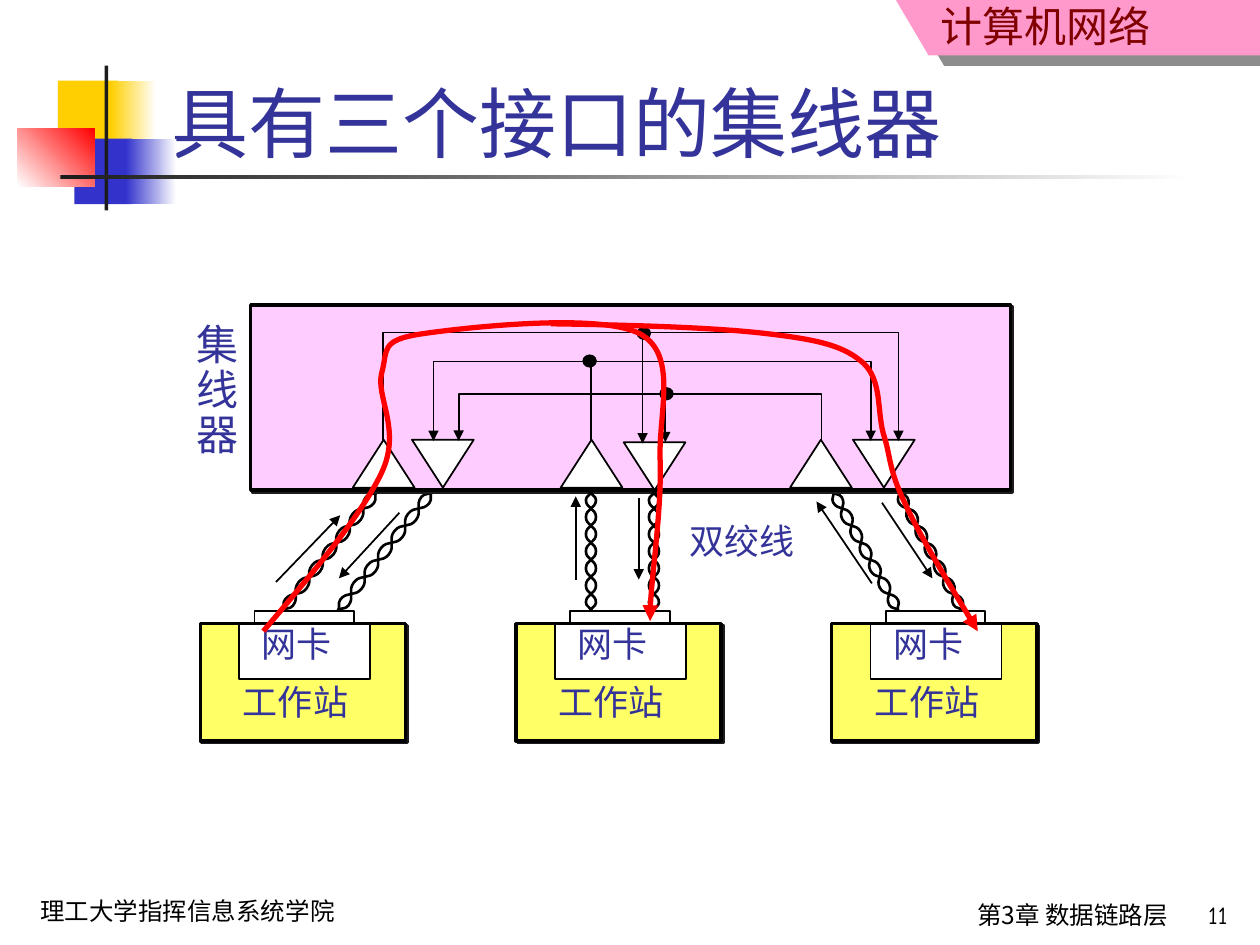
import math

import lxml.etree
import pptx
import pptx.dml.color
import pptx.enum.shapes
import pptx.enum.text
import pptx.oxml.ns
import pptx.util

RGB = pptx.dml.color.RGBColor
SHAPE = pptx.enum.shapes.MSO_SHAPE
ALIGN = pptx.enum.text.PP_ALIGN
ANCHOR = pptx.enum.text.MSO_ANCHOR
qn = pptx.oxml.ns.qn

BLACK = RGB(0x00, 0x00, 0x00)
WHITE = RGB(0xFF, 0xFF, 0xFF)
INK = RGB(0x1C, 0x1C, 0x1C)
GOLD = RGB(0xFF, 0xCF, 0x01)
BLUE = RGB(0x33, 0x33, 0xCC)
NAVY = RGB(0x33, 0x33, 0x99)
RED = RGB(0xFF, 0x00, 0x00)
MAROON = RGB(0x80, 0x00, 0x00)
PINK = RGB(0xFF, 0x99, 0xCC)
LILAC = RGB(0xFF, 0xCC, 0xFF)
YELLOW = RGB(0xFF, 0xFF, 0x66)


def inch(value):
    return pptx.util.Cm(value * 2.54)


def set_shadow(s, alpha, distance, angle):
    effects = s._element.spPr.find(qn("a:effectLst"))
    outer = lxml.etree.SubElement(
        effects, qn("a:outerShdw"), blurRad="0",
        dist=str(pptx.util.Pt(distance)), dir=str(angle * 60000))
    color = lxml.etree.SubElement(outer, qn("a:srgbClr"), val=str(INK))
    lxml.etree.SubElement(color, qn("a:alpha"), val=str(alpha * 1000))


def set_line(s, color, width, arrow=False):
    s.line.color.rgb = color
    s.line.width = pptx.util.Pt(width)
    if arrow:
        ln = s._element.spPr.find(qn("a:ln"))
        lxml.etree.SubElement(ln, qn("a:tailEnd"), type="triangle")


def add_box(slide, kind, box, fill, width=0):
    s = slide.shapes.add_shape(kind, *map(inch, box))
    s.shadow.inherit = False
    s.fill.solid()
    s.fill.fore_color.rgb = fill
    if width:
        set_line(s, BLACK, width)
    else:
        s.line.fill.background()
    return s


def add_gradient(slide, box, start, end, angle=0):
    s = add_box(slide, SHAPE.RECTANGLE, box, start)
    s.fill.gradient()
    s.fill.gradient_angle = angle
    for stop, color in zip(s.fill.gradient_stops, (start, end)):
        stop.color.rgb = color


def add_text(slide, box, lines, size, font, color, align=ALIGN.LEFT,
             top=0.05, spacing=None):
    s = slide.shapes.add_textbox(*map(inch, box))
    tf = s.text_frame
    tf.word_wrap = True
    tf.margin_top = inch(top)
    tf.text = "\n".join(lines)
    for p in tf.paragraphs:
        p.alignment = align
        p.line_spacing = spacing
        p.font.size = pptx.util.Pt(size)
        p.font.name = font
        p.font.color.rgb = color


def add_label(slide, x, y, width, text):
    add_text(slide, (x, y, width, 0.43), [text], 20, "Times New Roman", NAVY)


def add_polyline(slide, points, color=BLACK, width=1, arrow=True):
    start, *rest = [(inch(x), inch(y)) for x, y in points]
    builder = slide.shapes.build_freeform(*start)
    builder.add_line_segments(rest, close=False)
    s = builder.convert_to_shape()
    s.shadow.inherit = False
    s.fill.background()
    set_line(s, color, width, arrow)
    return s


def add_curve(slide, points, color, width, arrow):
    s = add_polyline(slide, points, color, width, arrow)
    outline = next(s._element.iter(qn("a:path")))
    segments = outline.findall(qn("a:lnTo"))
    for i in range(0, len(segments), 3):
        bezier = lxml.etree.SubElement(outline, qn("a:cubicBezTo"))
        for segment in segments[i:i + 3]:
            bezier.append(segment[0])
            outline.remove(segment)


def add_twisted_pair(slide, start, end, turns=7, amplitude=0.04):
    dx, dy = end[0] - start[0], end[1] - start[1]
    length = math.hypot(dx, dy)

    def at(t, offset):
        return (start[0] + dx * t - dy / length * offset,
                start[1] + dy * t + dx / length * offset)

    for side in (amplitude, -amplitude):
        nodes = [(0, 0)]
        nodes += [((i + 0.5) / turns, side * (-1) ** i) for i in range(turns)]
        nodes.append((1, 0))
        points = [at(0, 0)]
        for (t0, a), (t1, b) in zip(nodes, nodes[1:]):
            middle = (t0 + t1) / 2
            points += [at(middle, a), at(middle, b), at(t1, b)]
        add_curve(slide, points, BLACK, 1.5, False)


def add_arrow(slide, start, end):
    s = slide.shapes.add_connector(
        pptx.enum.shapes.MSO_CONNECTOR.STRAIGHT, *map(inch, start + end))
    set_line(s, BLACK, 1, True)
    lxml.etree.SubElement(s._element.spPr, qn("a:effectLst"))


def add_station(slide, x):
    s = add_box(slide, SHAPE.RECTANGLE, (x, 4.95, 1.63, 0.93), YELLOW, 2)
    set_shadow(s, 100, 1.4, 45)
    add_box(slide, SHAPE.RECTANGLE, (x + 0.31, 4.95, 1.04, 0.44), WHITE, 1)
    add_label(slide, x + 0.39, 4.89, 0.85, "网卡")
    add_label(slide, x + 0.24, 5.35, 1.15, "工作站")
    add_box(slide, SHAPE.RECTANGLE, (x + 0.43, 4.85, 0.79, 0.09), WHITE, 1)


def add_decor(slide):
    add_box(slide, SHAPE.RECTANGLE, (0.46, 0.64, 0.48, 0.52), GOLD)
    add_gradient(slide, (0.88, 0.64, 0.36, 0.52), GOLD, WHITE)
    add_box(slide, SHAPE.RECTANGLE, (0.59, 1.1, 0.46, 0.52), BLUE)
    add_gradient(slide, (1, 1.1, 0.4, 0.52), BLUE, WHITE)
    add_gradient(slide, (0.14, 1.02, 0.61, 0.46), WHITE, RED, 45)
    add_box(slide, SHAPE.RECTANGLE, (0.83, 0.52, 0.03, 1.15), INK)
    add_gradient(slide, (0.48, 1.39, 9, 0.03), INK, WHITE)

    builder = slide.shapes.build_freeform(inch(7.11), 0)
    corners = [(7.37, 0.44), (10, 0.44), (10, 0)]
    builder.add_line_segments([(inch(x), inch(y)) for x, y in corners])
    s = builder.convert_to_shape()
    s.shadow.inherit = False
    s.fill.solid()
    s.fill.fore_color.rgb = PINK
    s.line.fill.background()
    set_shadow(s, 50, 10.8, 34)

    add_text(slide, (5.7, 0, 3.53, 0.45), ["计算机网络"], 24,
             "Noto Sans CJK SC", MAROON, ALIGN.RIGHT, top=0)
    add_text(slide, (0.22, 7.06, 3.11, 0.34), ["理工大学指挥信息系统学院"], 14,
             "Comic Neue", BLACK)
    add_text(slide, (4.29, 7.09, 5.08, 0.41), ["第3章 数据链路层"], 14,
             "Noto Sans CJK SC", BLACK, ALIGN.RIGHT)
    add_text(slide, (9.05, 7.09, 0.79, 0.38), ["11"], 14, "Comic Neue", BLACK,
             ALIGN.RIGHT)


def set_title(slide, text):
    s = slide.shapes.title
    s.left, s.top, s.width, s.height = map(inch, (1.26, 0.23, 8.52, 1.15))
    tf = s.text_frame
    tf.vertical_anchor = ANCHOR.BOTTOM
    tf.text = text
    p = tf.paragraphs[0]
    p.alignment = ALIGN.LEFT
    p.font.size = pptx.util.Pt(44)
    p.font.name = "Arial"
    p.font.color.rgb = NAVY


def add_hub(slide):
    s = add_box(slide, SHAPE.RECTANGLE, (1.99, 2.42, 6.03, 1.47), LILAC, 2)
    set_shadow(s, 100, 1.4, 45)
    for x in (2.8, 4.45, 6.27):
        add_box(slide, SHAPE.ISOSCELES_TRIANGLE, (x, 3.49, 0.49, 0.38), WHITE, 1)
    for x, y in ((3.27, 3.49), (4.95, 3.51), (6.77, 3.49)):
        s = add_box(slide, SHAPE.ISOSCELES_TRIANGLE, (x, y, 0.49, 0.38), WHITE, 1)
        s.rotation = 180
    for x0, x1, y in ((6.52, 3.64, 3.13), (4.69, 6.91, 2.87), (3.04, 7.13, 2.64)):
        add_polyline(slide, [(x0, 3.5), (x0, y), (x1, y), (x1, 3.5)])
    add_polyline(slide, [(4.69, 2.87), (3.44, 2.87), (3.44, 3.5)])
    add_arrow(slide, (5.28, 3.14), (5.28, 3.51))
    add_arrow(slide, (5.1, 2.66), (5.1, 3.52))
    add_text(slide, (1.46, 2.52, 0.53, 1.18), "集线器", 24, "Times New Roman",
             NAVY, spacing=0.9)


def main():
    prs = pptx.Presentation()
    prs.slide_width, prs.slide_height = inch(10), inch(7.5)
    slide = prs.slides.add_slide(prs.slide_layouts[5])
    add_decor(slide)
    set_title(slide, "具有三个接口的集线器")

    for bottom, top in ((2.24, 2.99), (2.68, 3.43), (7.13, 6.61), (7.64, 7.13)):
        add_twisted_pair(slide, (bottom, 4.85), (top, 3.9))
    add_hub(slide)
    for i in range(3):
        add_station(slide, 1.59 + 2.505 * i)
    for x, y in ((4.63, 2.82), (5.06, 2.6), (5.24, 3.08)):
        add_box(slide, SHAPE.OVAL, (x, y, 0.1, 0.09), BLACK, 1)
    for start, end in (((4.57, 4.6), (4.57, 3.94)), ((5.07, 3.95), (5.07, 4.6)),
                       ((2.19, 4.62), (2.7, 4.09)), ((3.17, 4.07), (2.69, 4.59)),
                       ((6.92, 4.63), (6.48, 3.98)), ((7, 3.99), (7.4, 4.59))):
        add_arrow(slide, start, end)
    add_label(slide, 5.37, 4.07, 1.15, "双绞线")
    for x in (5.19, 4.69):
        add_twisted_pair(slide, (x, 4.85), (x, 3.9))

    to_middle = [(2.09, 5.01), (2.48, 4.55), (2.87, 4.09), (3.03, 3.75),
                 (3.19, 3.41), (2.98, 3.15), (3.03, 2.96),
                 (3.08, 2.78), (3.01, 2.7), (3.35, 2.65),
                 (3.69, 2.6), (4.76, 2.48), (5.08, 2.65),
                 (5.39, 2.82), (5.22, 3.29), (5.24, 3.67),
                 (5.25, 4.05), (5.15, 4.72), (5.16, 4.93)]
    to_right = [(4.37, 2.57), (5.03, 2.58), (5.69, 2.6), (6.1, 2.65),
                (6.52, 2.7), (6.7, 2.75), (6.85, 2.88),
                (7, 3.02), (6.96, 3.25), (7.01, 3.44),
                (7.07, 3.62), (7.05, 3.72), (7.18, 3.99),
                (7.3, 4.25), (7.53, 4.63), (7.76, 5.01)]
    for points in (to_middle, to_right):
        add_curve(slide, points, RED, 3, True)
    prs.save("out.pptx")


if __name__ == "__main__":
    main()
